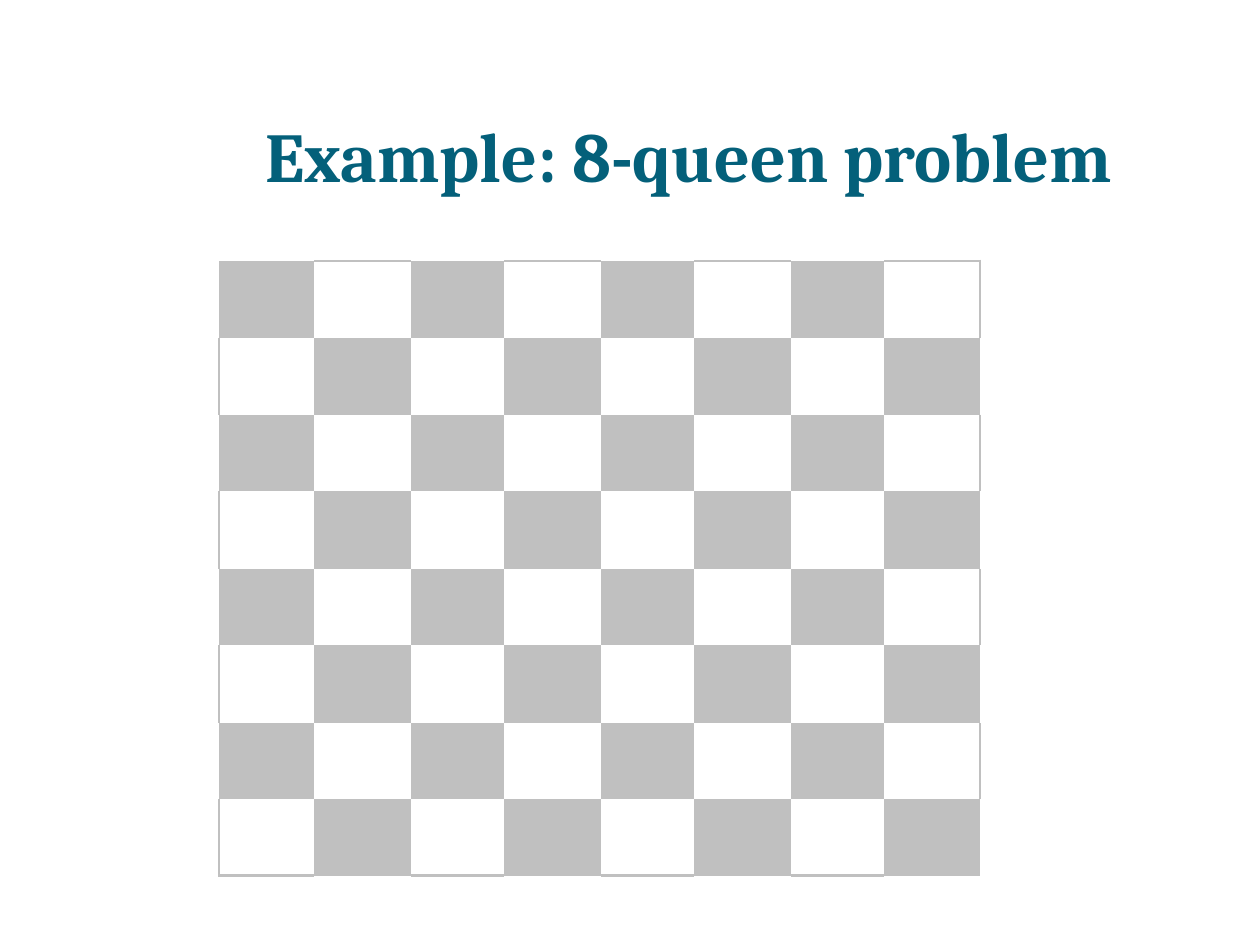
from lxml import etree
from pptx import Presentation
from pptx.dml.color import RGBColor
from pptx.enum.text import MSO_ANCHOR, PP_ALIGN
from pptx.oxml.ns import qn
from pptx.util import Inches, Pt

LEFT, TOP = PP_ALIGN.LEFT, MSO_ANCHOR.TOP
TITLE_ONLY = 5
NO_STYLE_NO_GRID = "{2D5ABB26-0587-4C30-8999-92F81FD0307C}"
SQUARE_GREY = "C0C0C0"
TITLE_BLUE = "04607A"
COLUMN_WIDTHS = [0.75, 0.77, 0.74, 0.77, 0.74, 0.77, 0.74, 0.76]
ROW_HEIGHTS = [0.61, 0.61, 0.61, 0.62, 0.6, 0.62, 0.6, 0.61]


def color(hex_string):
    return RGBColor.from_string(hex_string)


def write_title(slide, text):
    title = slide.shapes.title
    title.left, title.top = Inches(2.1), Inches(0.88)
    title.width, title.height = Inches(6.83), Inches(0.69)
    frame = title.text_frame
    frame.text = text
    frame.vertical_anchor = TOP
    frame.margin_left = Inches(0.01)
    frame.margin_top = Inches(0.01)
    frame.margin_right = frame.margin_bottom = 0
    heading = frame.paragraphs[0]
    heading.alignment = LEFT
    heading.font.name = "Cambria"
    heading.font.size = Pt(40)
    heading.font.bold = True
    heading.font.color.rgb = color(TITLE_BLUE)


def add_border(cell, side):
    """Draw one edge of a cell; side is L, R, T or B."""
    properties = cell._tc.get_or_add_tcPr()
    line = etree.SubElement(properties, qn(f"a:ln{side}"), w=str(Pt(1.5)))
    fill = etree.SubElement(line, qn("a:solidFill"))
    etree.SubElement(fill, qn("a:srgbClr"), val=SQUARE_GREY)


def paint_square(cell, row, column):
    """Fill a dark square, or outline a light one along the board's edge."""
    if (row + column) % 2 == 0:
        cell.fill.solid()
        cell.fill.fore_color.rgb = color(SQUARE_GREY)
        return
    board_edges = {
        "L": column == 0,
        "R": column == len(COLUMN_WIDTHS) - 1,
        "T": row == 0,
        "B": row == len(ROW_HEIGHTS) - 1,
    }
    for side, on_edge in board_edges.items():
        if on_edge:
            add_border(cell, side)
    cell.fill.background()


def add_chessboard(slide, left, top):
    frame = slide.shapes.add_table(
        len(ROW_HEIGHTS), len(COLUMN_WIDTHS), Inches(left), Inches(top),
        Inches(sum(COLUMN_WIDTHS)), Inches(sum(ROW_HEIGHTS)))
    board = frame.table
    board.first_row = board.horz_banding = False
    frame.element.find(".//" + qn("a:tableStyleId")).text = NO_STYLE_NO_GRID
    for column, width in zip(board.columns, COLUMN_WIDTHS):
        column.width = Inches(width)
    for row, height in zip(board.rows, ROW_HEIGHTS):
        row.height = Inches(height)
    for r in range(len(ROW_HEIGHTS)):
        for c in range(len(COLUMN_WIDTHS)):
            paint_square(board.cell(r, c), r, c)


def main():
    presentation = Presentation()
    presentation.slide_width, presentation.slide_height = Inches(10), Inches(7.5)
    slide = presentation.slides.add_slide(presentation.slide_layouts[TITLE_ONLY])
    write_title(slide, "Example: 8-queen problem")
    add_chessboard(slide, 1.74, 2.07)
    presentation.save("out.pptx")


if __name__ == "__main__":
    main()
